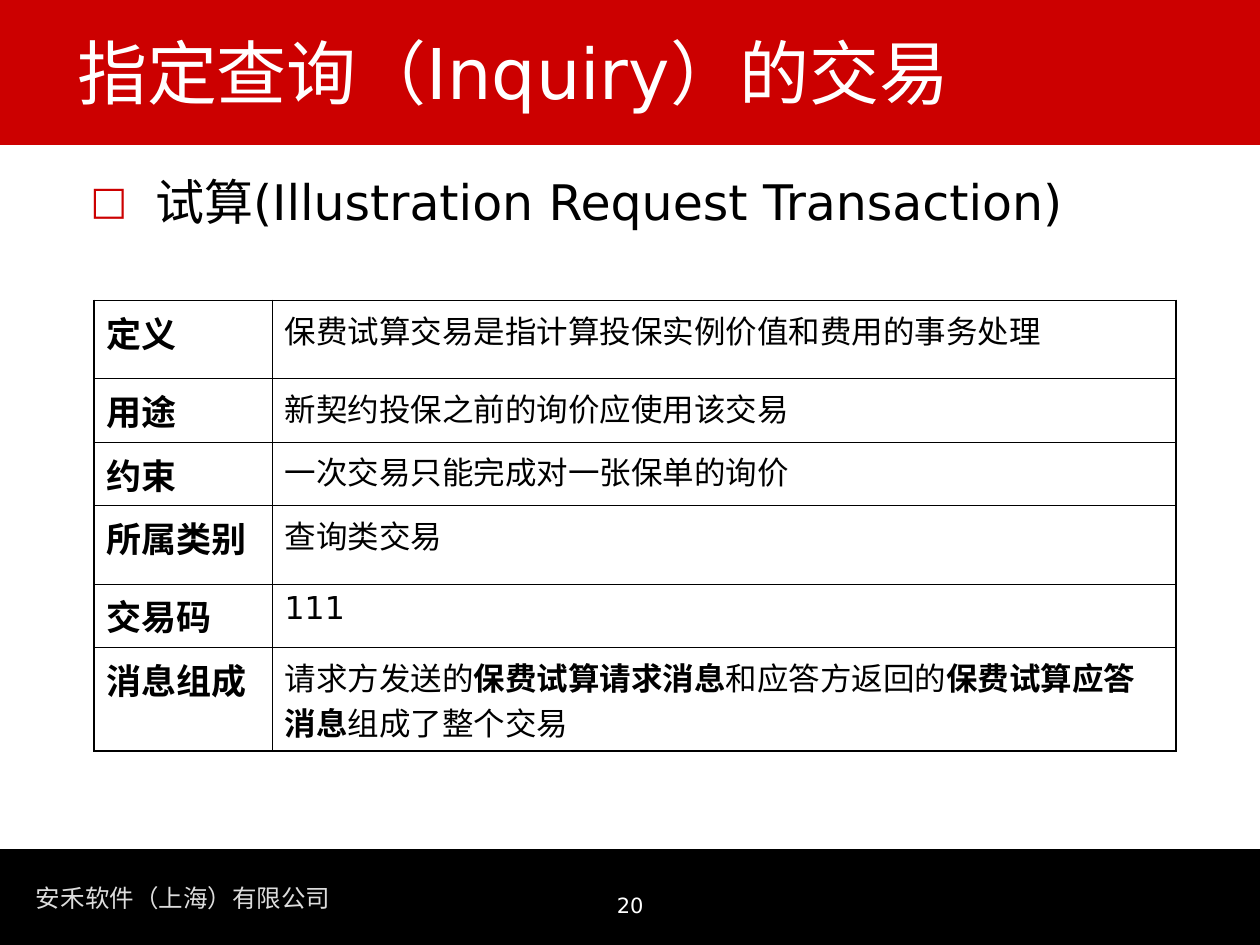
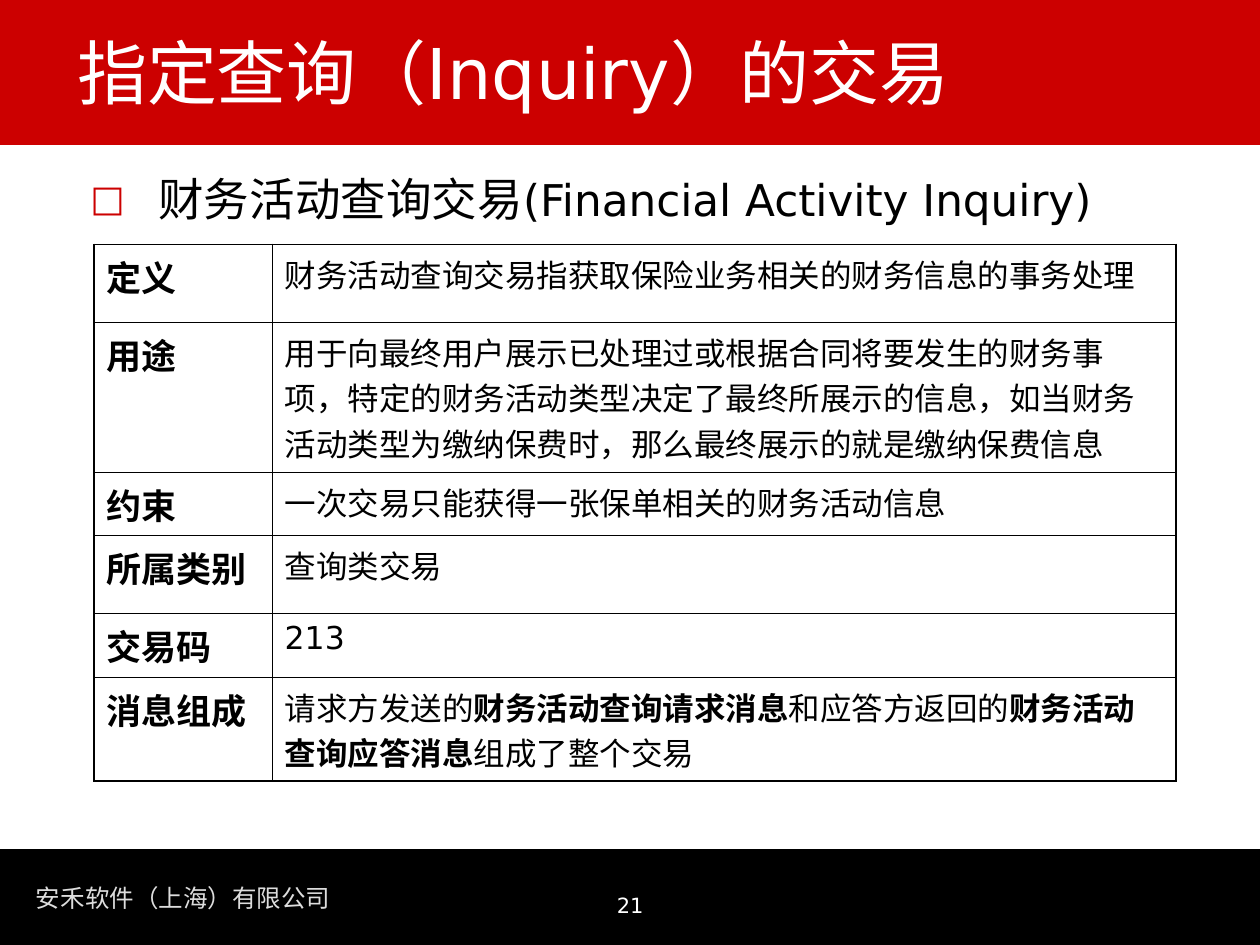
"""Build two slides that describe insurance inquiry transactions in tables."""
from pptx import Presentation
from pptx.dml.color import RGBColor as Rgb
from pptx.enum.shapes import MSO_SHAPE as Shape
from pptx.enum.text import MSO_ANCHOR as Anchor, PP_ALIGN as Align
from pptx.oxml import parse_xml
from pptx.oxml.ns import nsdecls
from pptx.util import Pt

RED, BLACK, WHITE, GREY = "CC0000", "000000", "FFFFFF", "DDDDDD"
FONT = "DejaVu Sans"
THICK, THIN = 1.08, 0.45
LABELS = ["定义", "用途", "约束", "所属类别", "交易码", "消息组成"]
COLS = [101.8, 516.4]
BANDS = [(485.3, 54.7, BLACK), (0, 82.8, RED)]
HEAD = {"size": Pt(40)}
FOOT = {"size": Pt(14)}
NUMBER = {"size": Pt(12)}
LABEL = {"size": Pt(20), "bold": True}
PLAIN = {"size": Pt(18), "bold": False}
STRONG = {"size": Pt(18), "bold": True}

PAGES = [
    {
        "number": "20",
        "topic": [("试算(Illustration Request Transaction)", {"size": Pt(28)})],
        "indent": 37,
        "top": 171.7,
        "rows": [44.6, 36.3, 36.3, 44.8, 36.3, 59.1],
        "facts": [
            "保费试算交易是指计算投保实例价值和费用的事务处理",
            "新契约投保之前的询价应使用该交易",
            "一次交易只能完成对一张保单的询价",
            "查询类交易",
            "111",
        ],
        "name": "保费试算",
    },
    {
        "number": "21",
        "topic": [("财务活动查询交易", {"size": Pt(26)}),
                  ("(Financial Activity Inquiry)", {"size": Pt(25)})],
        "indent": 38.9,
        "top": 139.7,
        "rows": [44.6, 85.7, 36.2, 44.6, 36.3, 59.1],
        "facts": [
            "财务活动查询交易指获取保险业务相关的财务信息的事务处理",
            "用于向最终用户展示已处理过或根据合同将要发生的财务事项，"
            "特定的财务活动类型决定了最终所展示的信息，"
            "如当财务活动类型为缴纳保费时，那么最终展示的就是缴纳保费信息",
            "一次交易只能获得一张保单相关的财务活动信息",
            "查询类交易",
            "213",
        ],
        "name": "财务活动查询",
    },
]


def write(frame, parts, color):
    para = frame.paragraphs[0]
    para._p.get_or_add_pPr().set("hangingPunct", "0")
    for words, look in parts:
        run = para.add_run()
        run.text = words
        run.font.name = FONT
        run.font.color.rgb = Rgb.from_string(color)
        for key, value in look.items():
            setattr(run.font, key, value)
    return para


def add_text(slide, place, parts, color, **style):
    frame = slide.shapes.add_textbox(*map(Pt, place)).text_frame
    for key, value in {"word_wrap": True, **style}.items():
        setattr(frame, key, value)
    return write(frame, parts, color)


deck = Presentation()
deck.slide_width, deck.slide_height = Pt(720), Pt(540)

for page in PAGES:
    slide = deck.slides.add_slide(deck.slide_layouts[6])
    for top, height, color in BANDS:
        band = slide.shapes.add_shape(Shape.RECTANGLE, 0, Pt(top), Pt(720), Pt(height))
        band.shadow.inherit = False
        band.fill.solid()
        band.fill.fore_color.rgb = Rgb.from_string(color)
        band.line.fill.background()

    add_text(slide, (13.5, 501.1, 182.9, 24.5), [("安禾软件（上海）有限公司", FOOT)],
             GREY, word_wrap=False)
    count = add_text(slide, (246, 506.5, 228.2, 24), [(page["number"], NUMBER)], WHITE)
    count.alignment = Align.CENTER
    add_text(slide, (37, 20.2, 630, 48.2), [("指定查询（Inquiry）的交易", HEAD)],
             WHITE, vertical_anchor=Anchor.BOTTOM)

    topic = add_text(slide, (44.6, 94.3, 627.1, 48.2), page["topic"], BLACK)
    props = topic._p.get_or_add_pPr()
    props.set("marL", str(Pt(page["indent"])))
    props.set("indent", str(-Pt(page["indent"])))
    for mark in (f'<a:buClr {nsdecls("a")}><a:srgbClr val="{RED}"/></a:buClr>',
                 f'<a:buSzPct {nsdecls("a")} val="80000"/>',
                 f'<a:buFont {nsdecls("a")} typeface="{FONT}"/>',
                 f'<a:buChar {nsdecls("a")} char="□"/>'):
        props.append(parse_xml(mark))

    rows = page["rows"]
    table = slide.shapes.add_table(len(rows), len(COLS), Pt(53.7), Pt(page["top"]),
                                   Pt(sum(COLS)), Pt(sum(rows))).table
    table.first_row = table.horz_banding = False
    for col, width in zip(table.columns, COLS):
        col.width = Pt(width)
    for row, height in zip(table.rows, rows):
        row.height = Pt(height)

    facts = [[(fact, PLAIN)] for fact in page["facts"]]
    facts.append([("请求方发送的", PLAIN), (page["name"] + "请求消息", STRONG),
                  ("和应答方返回的", PLAIN), (page["name"] + "应答消息", STRONG),
                  ("组成了整个交易", PLAIN)])
    last = len(rows) - 1
    for r, (label, fact) in enumerate(zip(LABELS, facts)):
        for c, parts in enumerate([[(label, LABEL)], fact]):
            cell = table.cell(r, c)
            write(cell.text_frame, parts, BLACK)
            edges = {"L": c == 0, "R": c == 1, "T": r == 0, "B": r == last}
            for side, outer in edges.items():
                width = Pt(THICK if outer else THIN)
                cell._tc.get_or_add_tcPr().append(parse_xml(
                    f'<a:ln{side} {nsdecls("a")} w="{width}"><a:solidFill>'
                    f'<a:srgbClr val="{BLACK}"/></a:solidFill></a:ln{side}>'))
            cell.fill.background()

deck.save("out.pptx")
